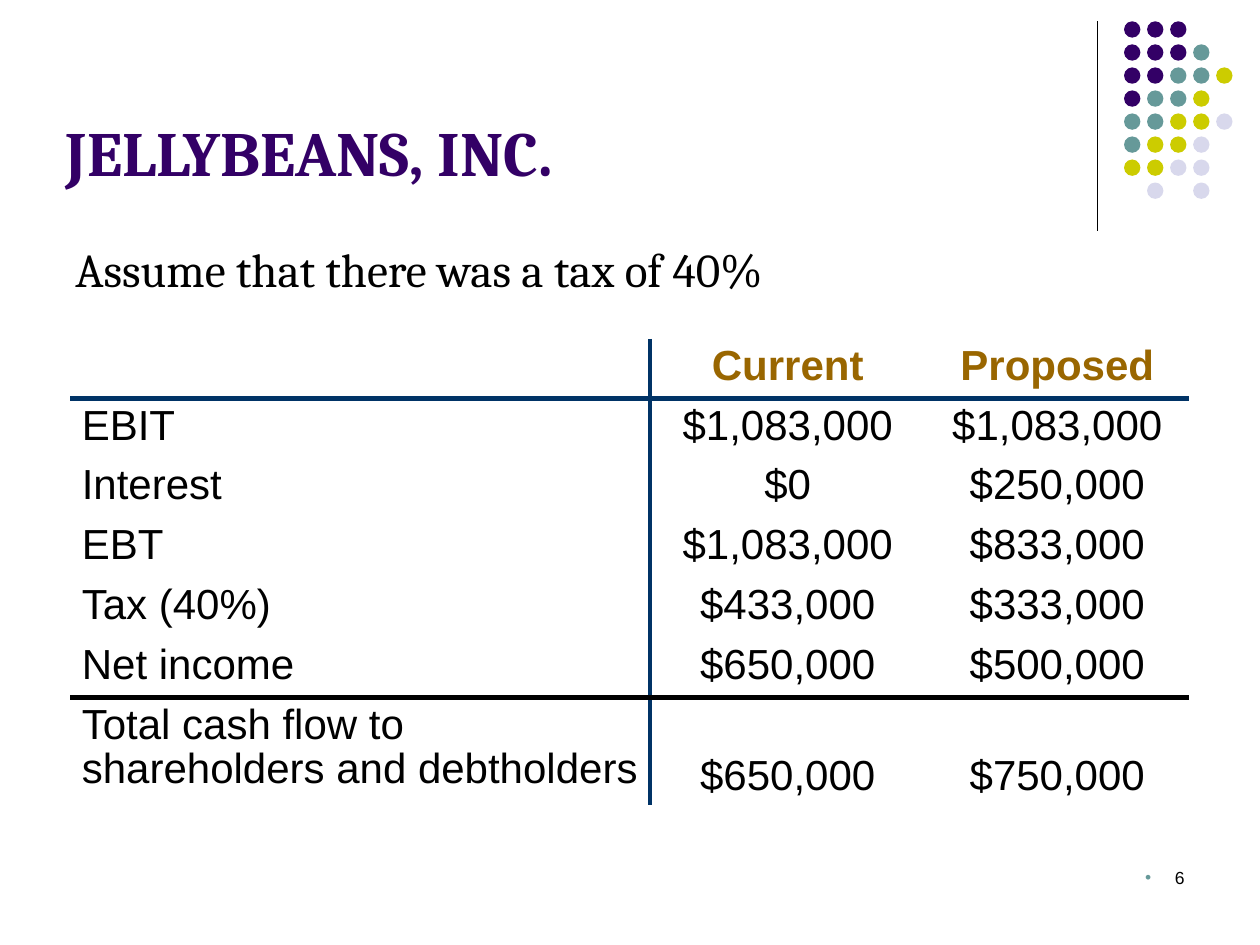
from lxml import etree
from pptx import Presentation
from pptx.dml.color import RGBColor
from pptx.enum.shapes import MSO_CONNECTOR, MSO_SHAPE
from pptx.enum.text import MSO_ANCHOR, MSO_AUTO_SIZE, PP_ALIGN
from pptx.oxml.ns import qn
from pptx.util import Cm, Pt

LEFT, CENTER, RIGHT = PP_ALIGN.LEFT, PP_ALIGN.CENTER, PP_ALIGN.RIGHT
TOP, BOTTOM = MSO_ANCHOR.TOP, MSO_ANCHOR.BOTTOM
STRAIGHT, OVAL = MSO_CONNECTOR.STRAIGHT, MSO_SHAPE.OVAL
NO_AUTOFIT = MSO_AUTO_SIZE.NONE

BLACK = RGBColor(0x00, 0x00, 0x00)
PURPLE = RGBColor(0x33, 0x00, 0x66)
TEAL = RGBColor(0x66, 0x99, 0x99)
LIME = RGBColor(0xCC, 0xCC, 0x00)
LAVENDER = RGBColor(0xD8, 0xD8, 0xEC)
NAVY = RGBColor(0x00, 0x33, 0x66)
BROWN = RGBColor(0x99, 0x66, 0x00)

# Decorative dots: one letter per dot, a space leaves a gap
DOT_COLORS = {"P": PURPLE, "T": TEAL, "L": LIME, "V": LAVENDER}
DOT_ROWS = ["PPP", "PPPT", "PPTTL", "PTTL", "TTLLV", "TLLV", "LLVV", " V V"]
DOT_PITCH = 3.25 / 7

TABLE_ROWS = [
    ("", "Current", "Proposed"),
    ("EBIT", "$1,083,000", "$1,083,000"),
    ("Interest", "$0", "$250,000"),
    ("EBT", "$1,083,000", "$833,000"),
    ("Tax (40%)", "$433,000", "$333,000"),
    ("Net income", "$650,000", "$500,000"),
    ("Total cash flow to shareholders and debtholders", "$650,000", "$750,000"),
]
COLUMN_WIDTHS = [11.68, 5.56, 5.31]
ROW_HEIGHTS = [1.16] * 6 + [2.1]
# Colour of the rule under a row
ROW_RULES = {0: NAVY, 5: BLACK}


def write_text(frame, text, size, color, font="Arial", bold=False,
               align=LEFT, anchor=TOP, spacing=None):
    frame.word_wrap = True
    frame.vertical_anchor = anchor
    paragraph = frame.paragraphs[0]
    paragraph.alignment = align
    paragraph.line_spacing = spacing
    run = paragraph.add_run()
    run.text = text
    run.font.size = Pt(size)
    run.font.name = font
    run.font.bold = bold
    run.font.color.rgb = color
    return paragraph


def add_text(slide, left, top, width, height, text, **text_format):
    box = slide.shapes.add_textbox(Cm(left), Cm(top), Cm(width), Cm(height))
    return write_text(box.text_frame, text, **text_format)


def add_bullet(paragraph, color, hanging):
    properties = paragraph._p.get_or_add_pPr()
    properties.set("marL", str(Cm(hanging)))
    properties.set("indent", str(-Cm(hanging)))
    bullet_color = etree.SubElement(properties, qn("a:buClr"))
    etree.SubElement(bullet_color, qn("a:srgbClr"), val=str(color))
    etree.SubElement(properties, qn("a:buFont"), typeface="Arial")
    etree.SubElement(properties, qn("a:buChar"), char="•")


def add_line(slide, x, top, bottom):
    line = slide.shapes.add_connector(STRAIGHT, Cm(x), Cm(top), Cm(x), Cm(bottom))
    line.line.color.rgb = BLACK
    line.line.width = Pt(0.75)
    etree.SubElement(line._element.spPr, qn("a:effectLst"))


def add_dots(slide, left, top, diameter):
    for row, letters in enumerate(DOT_ROWS):
        for column, letter in enumerate(letters):
            if letter not in DOT_COLORS:
                continue
            dot = slide.shapes.add_shape(
                OVAL, Cm(left + column * DOT_PITCH), Cm(top + row * DOT_PITCH),
                Cm(diameter), Cm(diameter))
            dot.shadow.inherit = False
            dot.fill.solid()
            dot.fill.fore_color.rgb = DOT_COLORS[letter]
            dot.line.fill.background()


def set_borders(cell, colors):
    """Draw the four sides; a side without a colour gets no line."""
    properties = cell._tc.get_or_add_tcPr()
    for side in ("lnL", "lnR", "lnT", "lnB"):
        border = etree.SubElement(properties, qn(f"a:{side}"), w=str(Pt(3)))
        if colors.get(side) is None:
            etree.SubElement(border, qn("a:noFill"))
        else:
            fill = etree.SubElement(border, qn("a:solidFill"))
            etree.SubElement(fill, qn("a:srgbClr"), val=str(colors[side]))


def add_cash_flow_table(slide, left, top):
    table = slide.shapes.add_table(
        len(TABLE_ROWS), len(COLUMN_WIDTHS), Cm(left), Cm(top),
        Cm(sum(COLUMN_WIDTHS)), Cm(sum(ROW_HEIGHTS))).table
    table.first_row = table.horz_banding = False
    for column, width in zip(table.columns, COLUMN_WIDTHS):
        column.width = Cm(width)
    for row, height in zip(table.rows, ROW_HEIGHTS):
        row.height = Cm(height)

    for r, texts in enumerate(TABLE_ROWS):
        for c, text in enumerate(texts):
            cell = table.cell(r, c)
            set_borders(cell, {
                "lnL": NAVY if c == 1 else None,
                "lnR": NAVY if c == 0 else None,
                "lnT": ROW_RULES.get(r - 1),
                "lnB": ROW_RULES.get(r),
            })
            cell.fill.background()
            cell.margin_left = cell.margin_right = Cm(0.23)
            cell.margin_top = cell.margin_bottom = Cm(0.12)
            cell.vertical_anchor = BOTTOM if c and r == len(TABLE_ROWS) - 1 else TOP
            if text:
                write_text(cell.text_frame, text, size=24,
                           color=BLACK if r else BROWN, bold=r == 0,
                           align=CENTER if c else LEFT,
                           anchor=None, spacing=0.95)


def add_title(slide, text):
    title = slide.shapes.title
    title.left, title.top = Cm(1.07), Cm(0.76)
    title.width, title.height = Cm(23.29), Cm(3.18)
    title.text_frame.auto_size = NO_AUTOFIT
    write_text(title.text_frame, text, size=36, color=PURPLE,
               font="Cambria", bold=True, anchor=BOTTOM)


def main():
    presentation = Presentation()
    presentation.slide_width, presentation.slide_height = Cm(25.4), Cm(19.05)
    slide = presentation.slides.add_slide(presentation.slide_layouts[5])

    # Corner decoration
    add_line(slide, 22.12, 0.43, 4.65)
    add_dots(slide, 22.66, 0.43, 0.33)

    # Heading and assumption
    add_title(slide, "JELLYBEANS, INC.")
    add_text(slide, 1.27, 4.72, 23.5, 1.5, "Assume that there was a tax of 40%",
             size=27, color=BLACK, font="Cambria")

    # Comparison of cash flows
    add_cash_flow_table(slide, 1.42, 6.83)

    # Page number
    number = add_text(slide, 18.21, 17.35, 5.92, 1.27, "6",
                      size=10, color=BLACK, align=RIGHT)
    add_bullet(number, TEAL, hanging=0.6)

    presentation.save("out.pptx")


if __name__ == "__main__":
    main()
